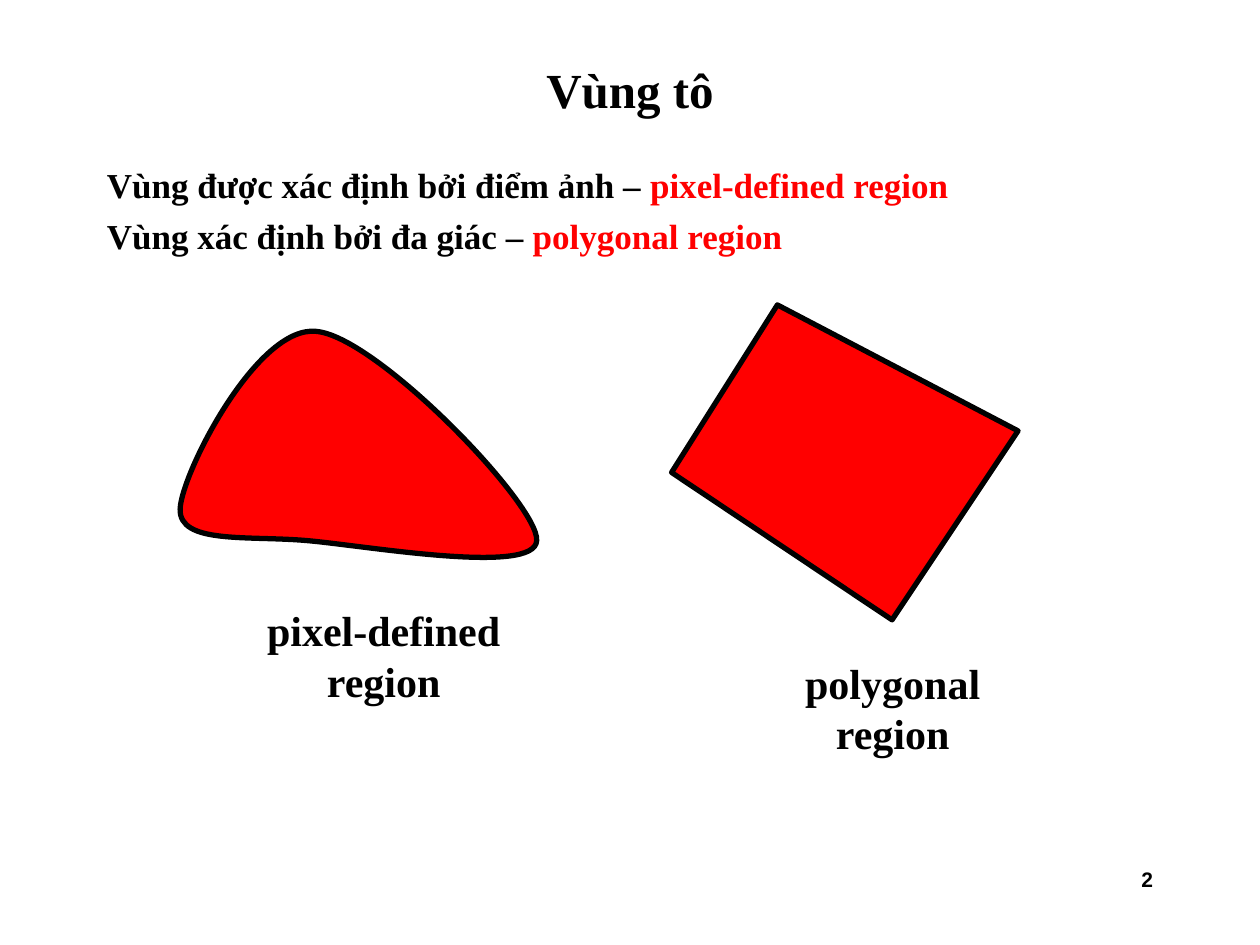
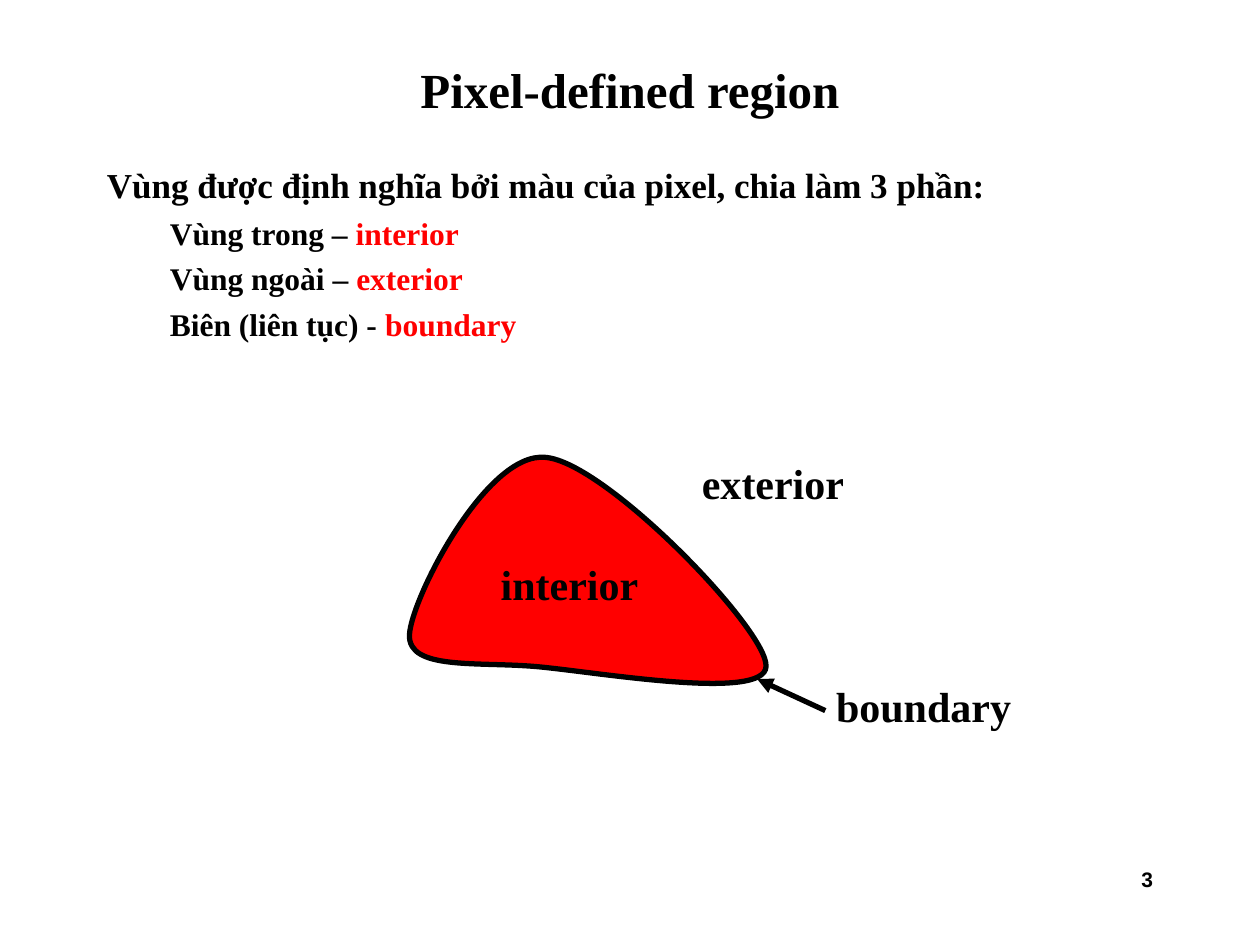
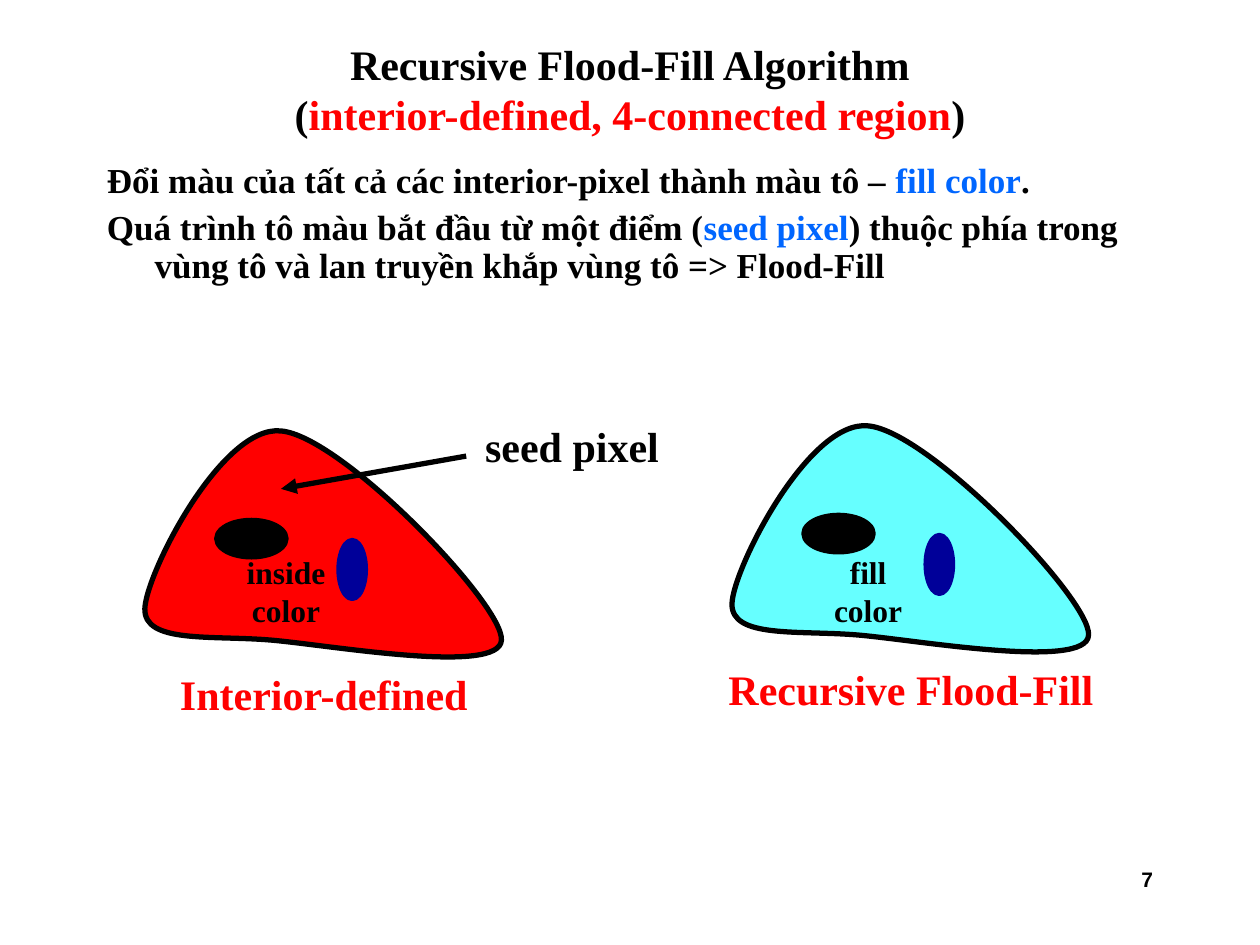
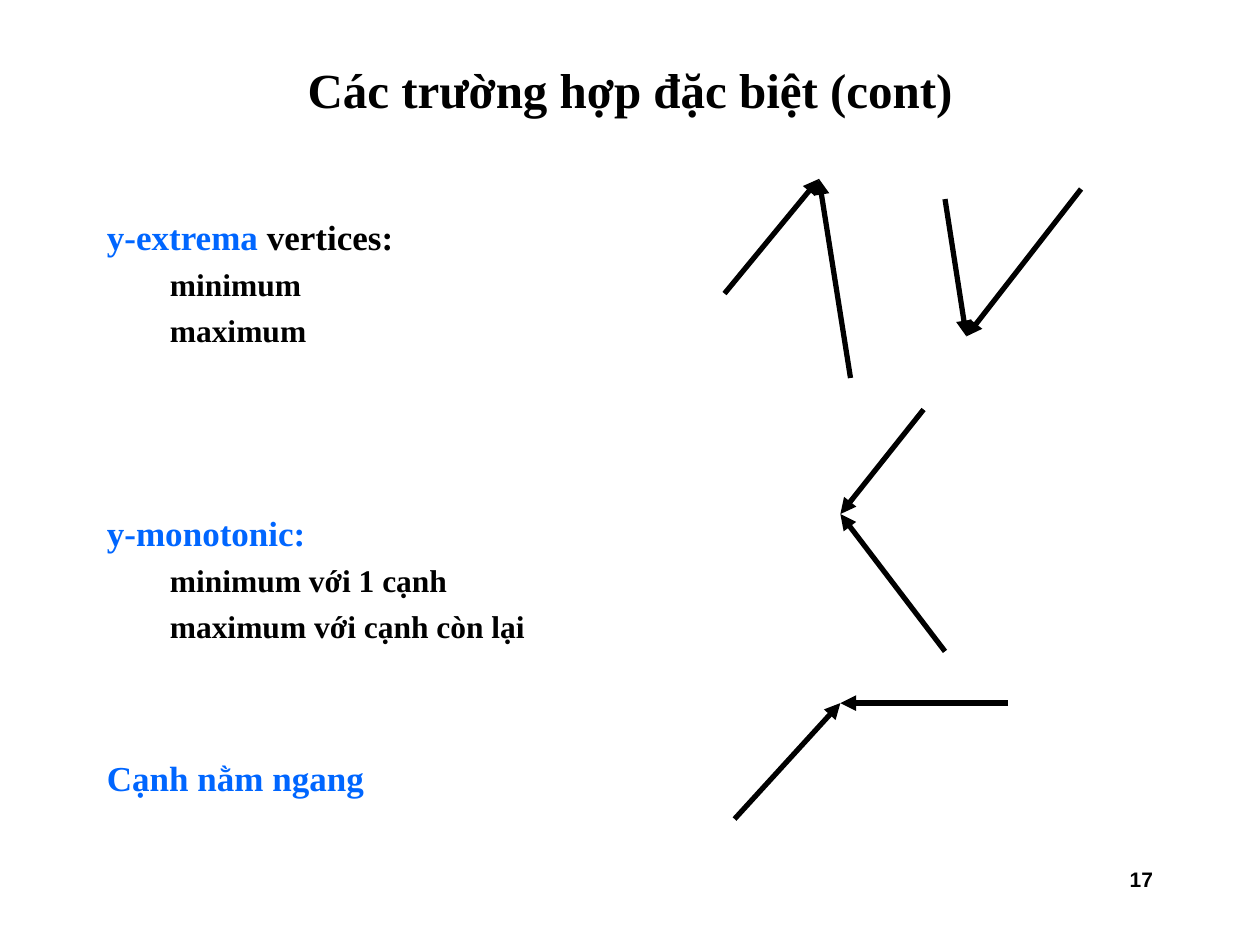
from dataclasses import dataclass
from typing import NamedTuple

from lxml import etree
from pptx import Presentation
from pptx.dml.color import RGBColor
from pptx.enum.shapes import MSO_CONNECTOR, MSO_SHAPE
from pptx.enum.text import MSO_ANCHOR, MSO_AUTO_SIZE, PP_ALIGN
from pptx.oxml.ns import qn
from pptx.util import Inches, Pt

LEFT, CENTER, RIGHT = PP_ALIGN.LEFT, PP_ALIGN.CENTER, PP_ALIGN.RIGHT
TOP, MIDDLE = MSO_ANCHOR.TOP, MSO_ANCHOR.MIDDLE
NO_AUTO_SIZE = MSO_AUTO_SIZE.NONE
STRAIGHT = MSO_CONNECTOR.STRAIGHT
OVAL = MSO_SHAPE.OVAL

BLACK = RGBColor(0x00, 0x00, 0x00)
RED = RGBColor(0xFF, 0x00, 0x00)
BLUE = RGBColor(0x00, 0x66, 0xFF)
NAVY = RGBColor(0x00, 0x00, 0x99)
CYAN = RGBColor(0x66, 0xFF, 0xFF)

SERIF = "Times New Roman"
SANS = "Arial"
LINE_WIDTH = Pt(3)
TITLE_ONLY = 5


class Point(NamedTuple):
    x: float
    y: float


class Box(NamedTuple):
    left: float
    top: float
    width: float
    height: float


class Run(NamedTuple):
    text: str
    color: RGBColor = BLACK


@dataclass
class Line:
    runs: list[Run]
    level: int = 0
    space_before: float | None = None


@dataclass
class Label:
    text: str
    box: Box
    size: float = 24
    color: RGBColor = BLACK
    wrap: bool = False


@dataclass
class Level:
    size: float
    margin: float
    hanging: float
    space_before: float


@dataclass
class Corner:
    vertex: Point
    starts: list[Point]


LEVELS = [Level(20, 0.38, 0.38, 5), Level(18, 0.81, 0.31, 4.5)]
TITLE_BOX = Box(0.75, 0.33, 8.5, 0.75)
BODY_BOX = Box(0.75, 1.25, 8.5, 5.42)
NUMBER_BOX = Box(7.17, 6.83, 2.08, 0.5)

BLOB_CURVE = [
    Point(1.01, 1.71),
    Point(1.48, 1.75), Point(2.83, 1.99), Point(2.84, 1.71),
    Point(2.86, 1.43), Point(1.57, 0.09), Point(1.09, 0.05),
    Point(0.62, 0), Point(0.02, 1.18), Point(0.01, 1.46),
    Point(0, 1.74), Point(0.54, 1.67), Point(1.01, 1.71),
]
POLYGON = [Point(5.33, 3.75), Point(7.08, 4.92), Point(8.08, 3.42), Point(6.17, 2.42)]
CORNERS = [
    Corner(Point(6.5, 1.42), [Point(5.75, 2.33), Point(6.75, 3)]),
    Corner(Point(7.67, 2.67), [Point(7.5, 1.58), Point(8.58, 1.5)]),
    Corner(Point(6.67, 4.08), [Point(7.33, 3.25), Point(7.5, 5.17)]),
    Corner(Point(6.67, 5.58), [Point(5.83, 6.5), Point(8, 5.58)]),
]


def to_inches(values) -> list:
    return [Inches(value) for value in values]


def write_runs(paragraph, runs: list[Run], *, size: float, font: str = SERIF,
               align=LEFT, space_before: float = 0, line_spacing: float = 1.0) -> None:
    paragraph.alignment = align
    paragraph.space_before = Pt(space_before)
    paragraph.line_spacing = line_spacing
    for content in runs:
        for index, piece in enumerate(content.text.split("\n")):
            if index:
                paragraph.add_line_break()
            run = paragraph.add_run()
            run.text = piece
            run.font.name = font
            run.font.size = Pt(size)
            run.font.bold = True
            run.font.color.rgb = content.color


def prepare_frame(shape, *, wrap: bool = True, anchor=TOP):
    frame = shape.text_frame
    frame.word_wrap = wrap
    frame.auto_size = NO_AUTO_SIZE
    frame.vertical_anchor = anchor
    return frame


def add_text(slide, text: str, box: Box, *, color: RGBColor = BLACK,
             wrap: bool = True, **style) -> None:
    frame = prepare_frame(slide.shapes.add_textbox(*to_inches(box)), wrap=wrap)
    write_runs(frame.paragraphs[0], [Run(text, color)], **style)


def add_labels(slide, labels: list[Label]) -> None:
    for label in labels:
        add_text(slide, label.text, label.box, color=label.color,
                 wrap=label.wrap, size=label.size, align=CENTER)


def add_body(slide, lines: list[Line], *, box: Box = BODY_BOX,
             line_spacing: float = 1.0) -> None:
    frame = prepare_frame(slide.shapes.add_textbox(*to_inches(box)))
    for index, line in enumerate(lines):
        paragraph = frame.add_paragraph() if index else frame.paragraphs[0]
        level = LEVELS[line.level]
        space = level.space_before if line.space_before is None else line.space_before
        paragraph.level = line.level
        properties = paragraph._p.get_or_add_pPr()
        properties.set("marL", str(Inches(level.margin)))
        properties.set("indent", str(-Inches(level.hanging)))
        write_runs(paragraph, line.runs, size=level.size,
                   space_before=space if index else 0, line_spacing=line_spacing)


def add_slide(presentation, title: list[Run], number: int, title_size: float = 28):
    slide = presentation.slides.add_slide(presentation.slide_layouts[TITLE_ONLY])
    placeholder = slide.shapes.title
    (placeholder.left, placeholder.top,
     placeholder.width, placeholder.height) = to_inches(TITLE_BOX)
    frame = prepare_frame(placeholder, anchor=MIDDLE)
    write_runs(frame.paragraphs[0], title, size=title_size, align=CENTER)
    add_text(slide, str(number), NUMBER_BOX, size=12, font=SANS, align=RIGHT)
    return slide


def paint(shape, fill: RGBColor, line: RGBColor = BLACK) -> None:
    shape.shadow.inherit = False
    shape.fill.solid()
    shape.fill.fore_color.rgb = fill
    shape.line.color.rgb = line
    shape.line.width = LINE_WIDTH


def add_outline(slide, points: list[Point], fill: RGBColor):
    start, *others = [to_inches(point) for point in points]
    builder = slide.shapes.build_freeform(*start)
    builder.add_line_segments(others, close=True)
    shape = builder.convert_to_shape()
    paint(shape, fill)
    return shape


def add_blob(slide, left: float, top: float, fill: RGBColor = RED) -> None:
    points = [Point(left + point.x, top + point.y) for point in BLOB_CURVE]
    shape = add_outline(slide, points, fill)
    segments = list(shape._element.iter(qn("a:lnTo")))
    for first in range(0, len(BLOB_CURVE) - 1, 3):
        curve = etree.Element(qn("a:cubicBezTo"))
        segments[first].addprevious(curve)
        for segment in segments[first:first + 3]:
            curve.append(segment[0])
            segment.getparent().remove(segment)


def add_holed_region(slide, left: float, top: float, fill: RGBColor, caption: str) -> None:
    add_blob(slide, left, top, fill)
    holes = [(Box(left + 0.58, top + 0.76, 0.55, 0.29), BLACK),
             (Box(left + 1.55, top + 0.92, 0.21, 0.46), NAVY)]
    for box, color in holes:
        paint(slide.shapes.add_shape(OVAL, *to_inches(box)), color, color)
    add_labels(slide, [Label(caption, Box(left - 0.21, top + 1.89, 3.28, 0.5), color=RED)])


def add_arrow(slide, start: Point, end: Point) -> None:
    connector = slide.shapes.add_connector(STRAIGHT, *to_inches(start + end))
    connector.line.color.rgb = BLACK
    connector.line.width = LINE_WIDTH
    outline = connector.line._get_or_add_ln()
    etree.SubElement(outline, qn("a:tailEnd"), type="triangle")
    etree.SubElement(connector._element.spPr, qn("a:effectLst"))


def build_fill_regions(presentation) -> None:
    slide = add_slide(presentation, [Run("Vùng tô")], 2)
    add_body(slide, [
        Line([Run("Vùng được xác định bởi điểm ảnh – "), Run("pixel-defined region", RED)]),
        Line([Run("Vùng xác định bởi đa giác – "), Run("polygonal region", RED)]),
    ])
    add_blob(slide, 1.42, 2.58)
    add_outline(slide, POLYGON, RED)
    add_labels(slide, [
        Label("pixel-defined region", Box(1.67, 4.75, 2.75, 0.9), wrap=True),
        Label("polygonal region", Box(5.92, 5.17, 2.33, 0.9), wrap=True),
    ])


def build_pixel_region(presentation) -> None:
    slide = add_slide(presentation, [Run("Pixel-defined region")], 3)
    add_body(slide, [
        Line([Run("Vùng được định nghĩa bởi màu của pixel, chia làm 3 phần:")]),
        Line([Run("Vùng trong – "), Run("interior", RED)], 1),
        Line([Run("Vùng ngoài – "), Run("exterior", RED)], 1),
        Line([Run("Biên (liên tục) - "), Run("boundary", RED)], 1),
    ])
    add_blob(slide, 3.24, 3.58)
    add_labels(slide, [
        Label("interior", Box(3.87, 4.38, 1.3, 0.5)),
        Label("exterior", Box(5.42, 3.58, 1.43, 0.5)),
        Label("boundary", Box(6.51, 5.35, 1.64, 0.5)),
    ])
    add_arrow(slide, Point(6.55, 5.64), Point(6.01, 5.39))


def build_flood_fill(presentation) -> None:
    slide = add_slide(presentation, [
        Run("Recursive Flood-Fill Algorithm\n("),
        Run("interior-defined, 4-connected region", RED),
        Run(")"),
    ], 7, title_size=24)
    add_body(slide, [
        Line([Run("Đổi màu của tất cả các interior-pixel thành màu tô – "),
              Run("fill color", BLUE), Run(".")]),
        Line([Run("Quá trình tô màu bắt đầu từ một điểm ("), Run("seed pixel", BLUE),
              Run(") thuộc phía trong vùng tô và lan truyền khắp vùng tô => Flood-Fill")]),
    ], line_spacing=0.9)
    add_holed_region(slide, 1.14, 3.37, RED, "Interior-defined")
    add_holed_region(slide, 5.8, 3.33, CYAN, "Recursive Flood-Fill")
    add_arrow(slide, Point(3.7, 3.62), Point(2.23, 3.88))
    add_labels(slide, [
        Label("seed pixel", Box(3.7, 3.29, 1.68, 0.5)),
        Label("inside color", Box(1.81, 4.34, 0.92, 0.7), size=18, wrap=True),
        Label("fill color", Box(6.43, 4.34, 0.92, 0.7), size=18, wrap=True),
    ])


def build_special_cases(presentation) -> None:
    slide = add_slide(presentation, [Run("Các trường hợp đặc biệt (cont)")], 17)
    add_body(slide, [
        Line([Run("y-extrema", BLUE), Run(" vertices:")]),
        Line([Run("minimum")], 1),
        Line([Run("maximum")], 1),
        Line([Run("y-monotonic:", BLUE)], space_before=93),
        Line([Run("minimum với 1 cạnh")], 1),
        Line([Run("maximum với cạnh còn lại")], 1),
        Line([Run("Cạnh nằm ngang", BLUE)], space_before=63.5),
    ], box=Box(0.75, 1.66, 4.67, 5.01))
    for corner in CORNERS:
        for start in corner.starts:
            add_arrow(slide, start, corner.vertex)


def main() -> None:
    presentation = Presentation()
    presentation.slide_width = Inches(10)
    presentation.slide_height = Inches(7.5)
    build_fill_regions(presentation)
    build_pixel_region(presentation)
    build_flood_fill(presentation)
    build_special_cases(presentation)
    presentation.save("out.pptx")


if __name__ == "__main__":
    main()
